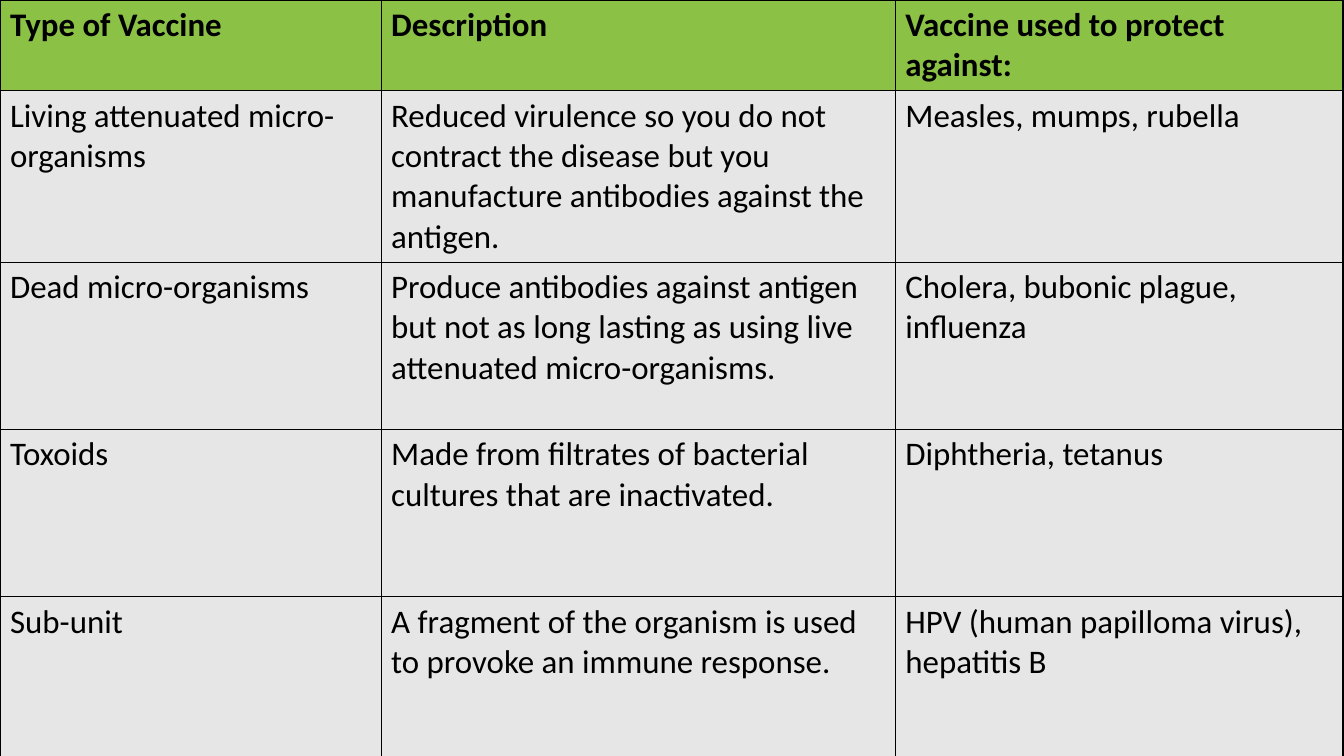
from lxml import etree
from pptx import Presentation, util as u
from pptx.dml.color import RGBColor
from pptx.oxml import ns

WIDTH, HEIGHT = 13.33, 7.5
COLUMNS = [3.78, 5.1, 4.44]
HEADER_ROW, BODY_ROW = 0.81, 1.66
BLACK, GREEN, GREY = "000000", "8BC145", "E7E6E6"
BACKGROUND_STOPS = [(0, "B9DA8F"), (0.34, "699331")]

VACCINES = [
    ("Type of Vaccine", "Description", "Vaccine used to protect against:"),
    ("Living attenuated micro-organisms",
     "Reduced virulence so you do not contract the disease but you "
     "manufacture antibodies against the antigen.",
     "Measles, mumps, rubella"),
    ("Dead micro-organisms",
     "Produce antibodies against antigen but not as long lasting as using "
     "live attenuated micro-organisms.",
     "Cholera, bubonic plague, influenza"),
    ("Toxoids",
     "Made from filtrates of bacterial cultures that are inactivated.",
     "Diphtheria, tetanus"),
    ("Sub-unit",
     "A fragment of the organism is used to provoke an immune response.",
     "HPV (human papilloma virus), hepatitis B"),
]


def colour(value):
    return RGBColor.from_string(value)


def set_background(slide):
    fill = slide.background.fill
    fill.gradient()
    fill.gradient_angle = 270
    for stop, (position, value) in zip(fill.gradient_stops, BACKGROUND_STOPS):
        stop.position = position
        stop.color.rgb = colour(value)


def add_borders(cell, value, points):
    properties = cell._tc.get_or_add_tcPr()
    for index, side in enumerate(("lnL", "lnR", "lnT", "lnB")):
        line = etree.Element(ns.qn(f"a:{side}"), w=str(u.Pt(points)))
        solid = etree.SubElement(line, ns.qn("a:solidFill"))
        etree.SubElement(solid, ns.qn("a:srgbClr"), val=value)
        properties.insert(index, line)


def fill_cell(cell, words, background, bold):
    cell.fill.solid()
    cell.fill.fore_color.rgb = colour(background)
    add_borders(cell, BLACK, 1)
    run = cell.text_frame.paragraphs[0].add_run()
    run.text = words
    formats = {"name": "Calibri", "size": u.Pt(23.5), "bold": bold}
    for name, value in formats.items():
        setattr(run.font, name, value)
    run.font.color.rgb = colour(BLACK)


def add_vaccine_table(slide):
    heights = [HEADER_ROW] + [BODY_ROW] * (len(VACCINES) - 1)
    table = slide.shapes.add_table(
        len(heights), len(COLUMNS), 0, 0,
        u.Inches(sum(COLUMNS)), u.Inches(sum(heights))).table
    table.horz_banding = False
    for column, width in zip(table.columns, COLUMNS):
        column.width = u.Inches(width)
    for index, (row, height) in enumerate(zip(table.rows, heights)):
        row.height = u.Inches(height)
        header = index == 0
        for cell, words in zip(row.cells, VACCINES[index]):
            fill_cell(cell, words, GREEN if header else GREY, header)


def main():
    presentation = Presentation()
    presentation.slide_width = u.Inches(WIDTH)
    presentation.slide_height = u.Inches(HEIGHT)
    slide = presentation.slides.add_slide(presentation.slide_layouts[6])
    set_background(slide)
    add_vaccine_table(slide)
    presentation.save("out.pptx")


if __name__ == "__main__":
    main()
